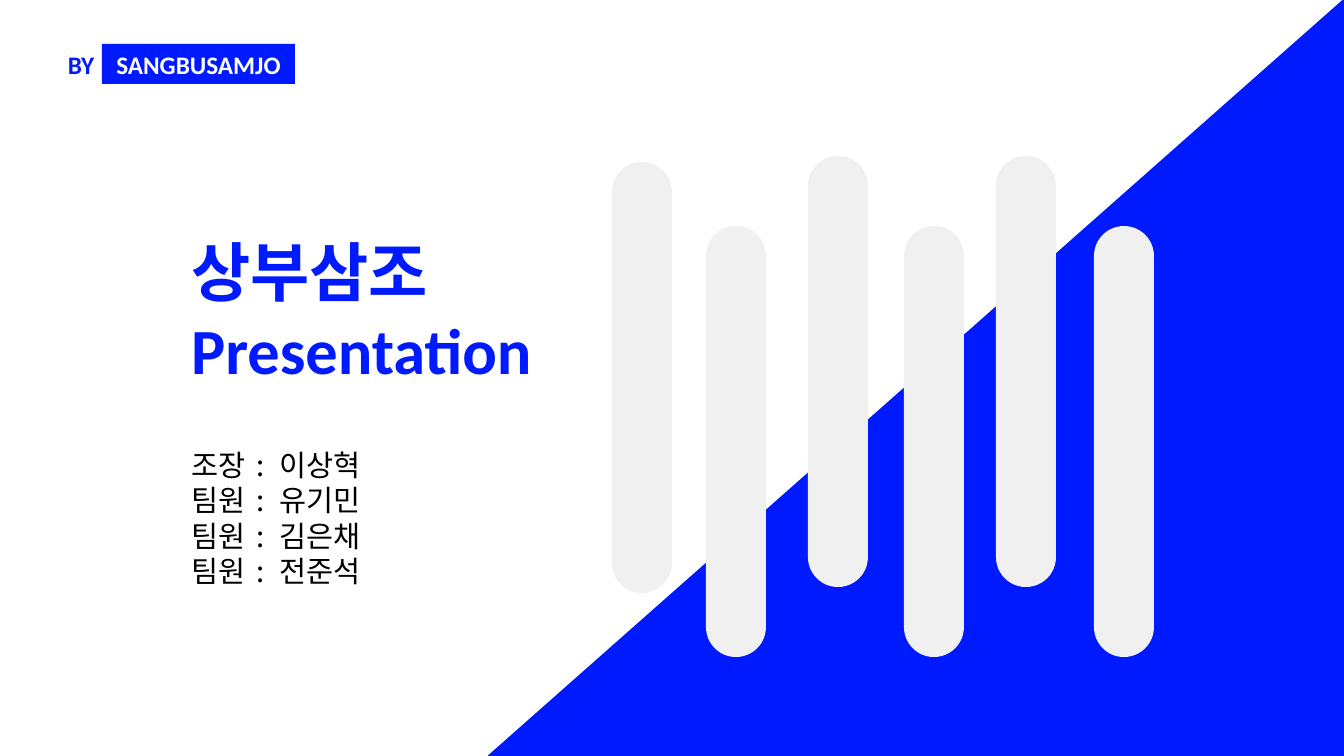
from dataclasses import dataclass

from pptx import Presentation
from pptx.dml.color import RGBColor
from pptx.enum.shapes import MSO_SHAPE as Kind
from pptx.enum.text import MSO_ANCHOR as Anchor, MSO_AUTO_SIZE as Fit, PP_ALIGN as Align
from pptx.oxml.ns import qn
from pptx.oxml.xmlchemy import OxmlElement as Node
from pptx.util import Pt

SCALE = 12192000 / 1344
BLUE = RGBColor(0x00, 0x1A, 0xFF)
GREY = RGBColor(0xF0, 0xF0, 0xF0)
WHITE = RGBColor(0xFF, 0xFF, 0xFF)
BLACK = RGBColor(0x00, 0x00, 0x00)
LATIN = "Calibri"
HANGUL = "Noto Sans CJK KR"
COLON = " : "


@dataclass(frozen=True)
class Box:
    left: int
    top: int
    width: int
    height: int

    def emu(self) -> tuple[int, ...]:
        return tuple(px(n) for n in (self.left, self.top, self.width, self.height))


@dataclass(frozen=True)
class Style:
    face: str
    size: int
    color: RGBColor
    bold: bool = True
    pitch: float | None = None
    align: Align = Align.LEFT


@dataclass(frozen=True)
class Member:
    role: str
    name: str


HEAD = Style(LATIN, 46, BLUE, pitch=56)
LIST = Style(HANGUL, 21, BLACK, bold=False, pitch=25.2)
TAG = Style(LATIN, 18, BLUE)
BADGE = Style(LATIN, 18, WHITE, align=Align.CENTER)

TEAM = [
    Member("조장", "이상혁"),
    Member("팀원", "유기민"),
    Member("팀원", "김은채"),
    Member("팀원", "전준석"),
]
BARS = [(612, 162), (706, 226), (808, 156), (904, 226), (996, 156), (1094, 226)]


def px(count: int) -> int:
    return round(count * SCALE)


def place(item, box: Box) -> None:
    item.left, item.top, item.width, item.height = box.emu()


def format_text(frame, style: Style, anchor: Anchor = Anchor.TOP) -> None:
    frame.word_wrap = True
    frame.auto_size = Fit.NONE
    frame.vertical_anchor = anchor
    for para in frame.paragraphs:
        para.alignment = style.align
        para.space_before = Pt(0)
        if style.pitch:
            para.line_spacing = Pt(style.pitch)
        for run in para.runs:
            font = run.font
            font.name, font.size, font.bold = style.face, Pt(style.size), style.bold
            font.color.rgb = style.color
            asian = Node("a:ea")
            asian.set("typeface", style.face)
            run._r.rPr.find(qn("a:latin")).addnext(asian)


def add_shape(shapes, kind: Kind, box: Box, fill: RGBColor, adjust: float | None = None):
    shape = shapes.add_shape(kind, *box.emu())
    shape.shadow.inherit = False
    shape.fill.solid()
    shape.fill.fore_color.rgb = fill
    shape.line.fill.background()
    if adjust is not None:
        shape.adjustments[0] = adjust
    return shape


def add_team(frame) -> None:
    for index, member in enumerate(TEAM):
        para = frame.paragraphs[0] if index == 0 else frame.add_paragraph()
        for part in (member.role, COLON, member.name):
            run = para.add_run()
            run.text = part
            if part == COLON:
                run._r.get_or_add_rPr().set("spc", "315")


def add_badge(shapes) -> None:
    group = shapes.add_group_shape().shapes
    tag = group.add_textbox(*Box(58, 44, 122, 40).emu())
    tag.text_frame.text = "BY"
    format_text(tag.text_frame, TAG)
    badge = add_shape(group, Kind.RECTANGLE, Box(102, 44, 193, 40), BLUE)
    badge.text_frame.text = "SANGBUSAMJO"
    format_text(badge.text_frame, BADGE, Anchor.MIDDLE)


def main() -> None:
    deck = Presentation()
    deck.slide_width, deck.slide_height = px(1344), px(756)
    slide = deck.slides.add_slide(deck.slide_layouts[0])
    shapes = slide.shapes

    corner = add_shape(shapes, Kind.ISOSCELES_TRIANGLE, Box(489, 0, 855, 756), BLUE, 1)
    corner.line.color.rgb = BLUE
    corner.line.width = Pt(1.5)

    title = shapes.title
    place(title, Box(181, 226, 491, 164))
    title.text_frame.text = "상부삼조\nPresentation"
    format_text(title.text_frame, HEAD)

    add_badge(shapes)

    team = slide.placeholders[1]
    place(team, Box(181, 442, 261, 150))
    add_team(team.text_frame)
    format_text(team.text_frame, LIST)

    for left, top in BARS:
        add_shape(shapes, Kind.ROUNDED_RECTANGLE, Box(left, top, 60, 431), GREY, 0.5)

    deck.save("out.pptx")


if __name__ == "__main__":
    main()
